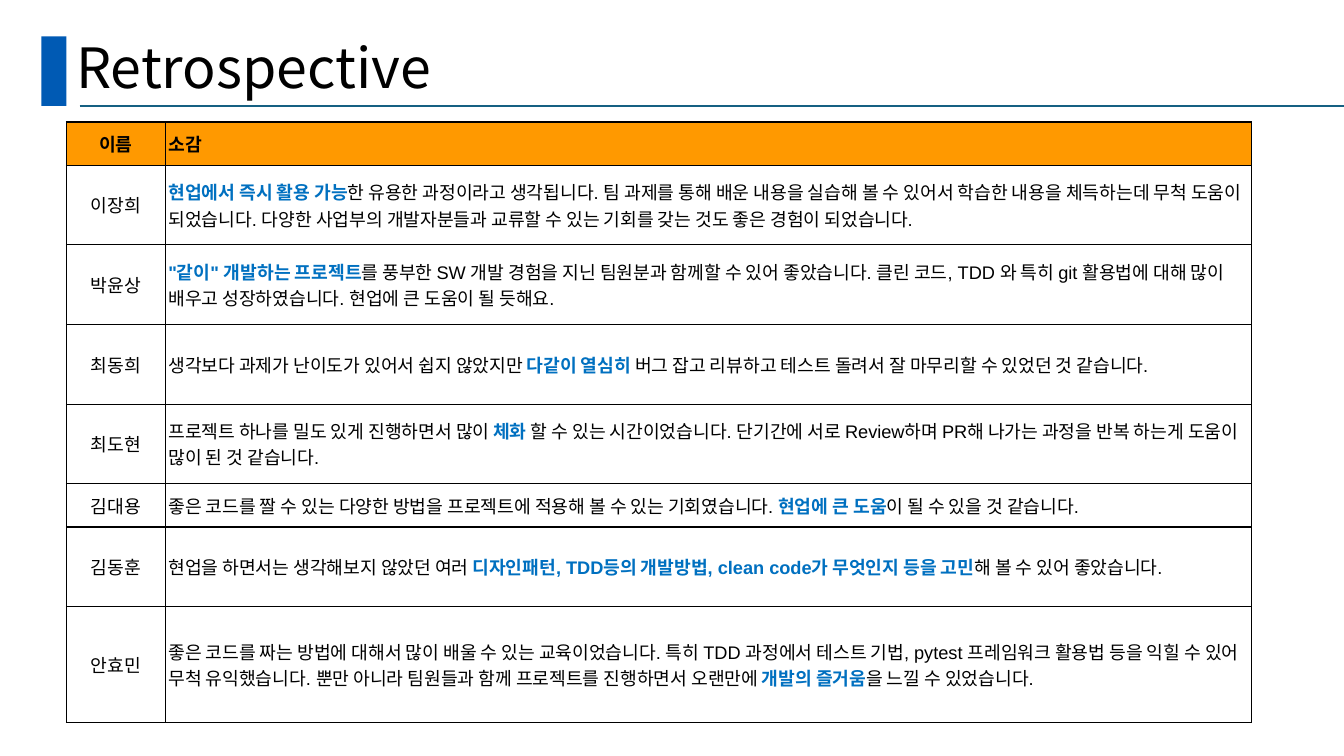
from lxml import etree
from pptx import Presentation
from pptx.dml.color import RGBColor
from pptx.enum.shapes import MSO_CONNECTOR, MSO_SHAPE
from pptx.enum.text import MSO_ANCHOR, PP_ALIGN
from pptx.oxml.ns import qn
from pptx.util import Inches, Pt

RECTANGLE = MSO_SHAPE.RECTANGLE
STRAIGHT = MSO_CONNECTOR.STRAIGHT
MIDDLE = MSO_ANCHOR.MIDDLE
LEFT, CENTER = PP_ALIGN.LEFT, PP_ALIGN.CENTER

# Content: each comment is (before, highlighted, after)
TITLE = "Retrospective"
HEADER = ("이름", "소감")
COMMENTS = [
    ("이장희", ("", "현업에서 즉시 활용 가능",
             "한 유용한 과정이라고 생각됩니다. 팀 과제를 통해 배운 내용을 실습해 볼 수 있어서 "
             "학습한 내용을 체득하는데 무척 도움이 되었습니다. 다양한 사업부의 개발자분들과 "
             "교류할 수 있는 기회를 갖는 것도 좋은 경험이 되었습니다.")),
    ("박윤상", ("", "\"같이\" 개발하는 프로젝트",
             "를 풍부한 SW 개발 경험을 지닌 팀원분과 함께할 수 있어 좋았습니다. 클린 코드, "
             "TDD 와 특히 git 활용법에 대해 많이 배우고 성장하였습니다. 현업에 큰 도움이 될 듯해요.")),
    ("최동희", ("생각보다 과제가 난이도가 있어서 쉽지 않았지만 ", "다같이 열심히",
             " 버그 잡고 리뷰하고 테스트 돌려서 잘 마무리할 수 있었던 것 같습니다.")),
    ("최도현", ("프로젝트 하나를 밀도 있게 진행하면서 많이 ", "체화 ",
             "할 수 있는 시간이었습니다. 단기간에 서로 Review하며 PR해 나가는 과정을 "
             "반복 하는게 도움이 많이 된 것 같습니다.")),
    ("김대용", ("좋은 코드를 짤 수 있는 다양한 방법을 프로젝트에 적용해 볼 수 있는 기회였습니다. ",
             "현업에 큰 도움", "이 될 수 있을 것 같습니다.")),
    ("김동훈", ("현업을 하면서는 생각해보지 않았던 여러 ",
             "디자인패턴, TDD등의 개발방법, clean code가 무엇인지 등을 고민",
             "해 볼 수 있어 좋았습니다.")),
    ("안효민", ("좋은 코드를 짜는 방법에 대해서 많이 배울 수 있는 교육이었습니다. 특히 TDD 과정에서 "
             "테스트 기법, pytest 프레임워크 활용법 등을 익힐 수 있어 무척 유익했습니다. "
             "뿐만 아니라 팀원들과 함께 프로젝트를 진행하면서 오랜만에 ",
             "개발의 즐거움", "을 느낄 수 있었습니다.")),
]

# Layout in inches
SLIDE_WIDTH, SLIDE_HEIGHT = 13.33, 7.5
TABLE_LEFT, TABLE_TOP = 0.66, 1.21
COLUMN_WIDTHS = (0.98, 10.77)
SHORT, MEDIUM, TALL = 0.43, 0.79, 1.15
ROW_HEIGHTS = (SHORT, MEDIUM, MEDIUM, MEDIUM, MEDIUM, SHORT, MEDIUM, TALL)
RULE_Y = 1.05

TITLE_FONT, TABLE_FONT = "Noto Sans CJK KR", "Arial"
COLORS = {"accent": "005AB4", "rule": "156082", "header": "FF9900",
          "text": "000000", "highlight": "0070C0"}


def color(name):
    return RGBColor.from_string(COLORS[name])


def add_title(slide):
    # Accent block and rule
    block = slide.shapes.add_shape(RECTANGLE, Inches(0.41), Inches(0.36),
                                   Inches(0.25), Inches(RULE_Y - 0.36))
    block.shadow.inherit = False
    block.fill.solid()
    block.fill.fore_color.rgb = color("accent")
    block.line.fill.background()
    rule = slide.shapes.add_connector(STRAIGHT, Inches(0.79), Inches(RULE_Y),
                                      Inches(SLIDE_WIDTH), Inches(RULE_Y))
    rule.line.color.rgb = color("rule")
    rule.line.width = Pt(1.5)
    etree.SubElement(rule._element.spPr, qn("a:effectLst"))

    # Title text
    box = slide.shapes.add_textbox(Inches(0.66), Inches(0.34), Inches(11.5), Inches(0.71))
    frame = box.text_frame
    frame.word_wrap = True
    frame.vertical_anchor = MIDDLE
    paragraph = frame.paragraphs[0]
    paragraph.text = TITLE
    paragraph.line_spacing = 0.9
    paragraph.font.size = Pt(39.6)
    paragraph.font.name = TITLE_FONT
    paragraph.font.color.rgb = color("text")


def add_borders(cell):
    properties = cell._tc.get_or_add_tcPr()
    for side in ("lnL", "lnR", "lnT", "lnB"):
        line = etree.SubElement(properties, qn(f"a:{side}"), w=str(Pt(1)))
        fill = etree.SubElement(line, qn("a:solidFill"))
        etree.SubElement(fill, qn("a:srgbClr"), val=COLORS["text"])


def fill_cell(cell, parts, alignment, is_header):
    cell.vertical_anchor = MIDDLE
    cell.margin_left = cell.margin_right = Inches(0.03)
    cell.margin_top = cell.margin_bottom = Inches(0.02)
    add_borders(cell)
    if is_header:
        cell.fill.solid()
        cell.fill.fore_color.rgb = color("header")
    else:
        cell.fill.background()

    paragraph = cell.text_frame.paragraphs[0]
    paragraph.alignment = alignment
    for index, text in enumerate(parts):
        if not text:
            continue
        highlighted = index == 1
        run = paragraph.add_run()
        run.text = text
        run.font.size = Pt(13)
        run.font.name = TABLE_FONT
        run.font.bold = is_header or highlighted
        run.font.color.rgb = color("highlight" if highlighted else "text")


def add_comments_table(slide):
    rows = [(HEADER[0], (HEADER[1],))] + COMMENTS
    table = slide.shapes.add_table(
        len(rows), len(COLUMN_WIDTHS), Inches(TABLE_LEFT), Inches(TABLE_TOP),
        Inches(sum(COLUMN_WIDTHS)), Inches(sum(ROW_HEIGHTS))).table
    table.first_row = False
    table.horz_banding = False
    for column, width in zip(table.columns, COLUMN_WIDTHS):
        column.width = Inches(width)
    for index, (name, comment) in enumerate(rows):
        table.rows[index].height = Inches(ROW_HEIGHTS[index])
        fill_cell(table.cell(index, 0), (name,), CENTER, index == 0)
        fill_cell(table.cell(index, 1), comment, LEFT, index == 0)


def main():
    presentation = Presentation()
    presentation.slide_width = Inches(SLIDE_WIDTH)
    presentation.slide_height = Inches(SLIDE_HEIGHT)
    slide = presentation.slides.add_slide(presentation.slide_layouts[6])
    add_title(slide)
    add_comments_table(slide)
    presentation.save("out.pptx")


if __name__ == "__main__":
    main()
